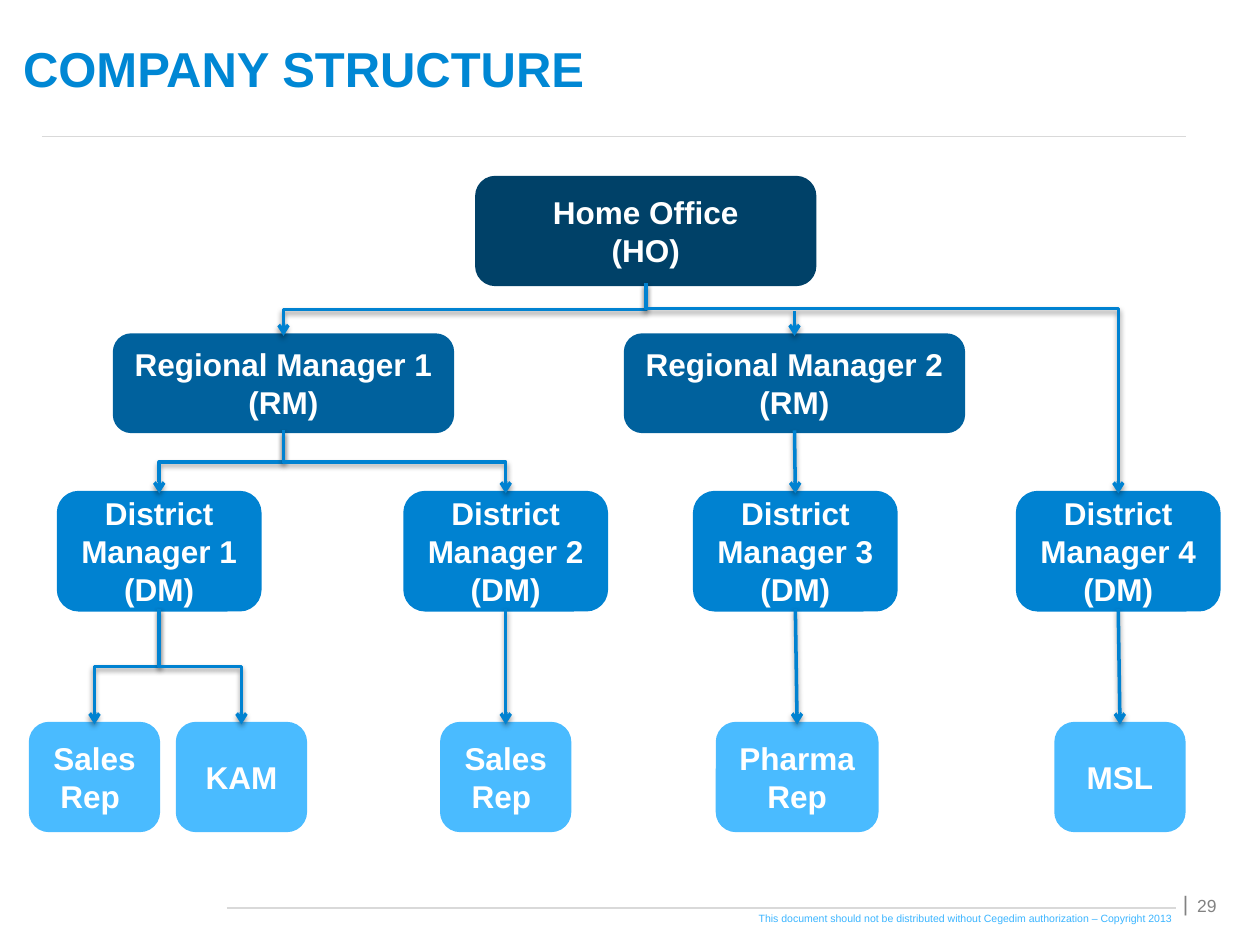
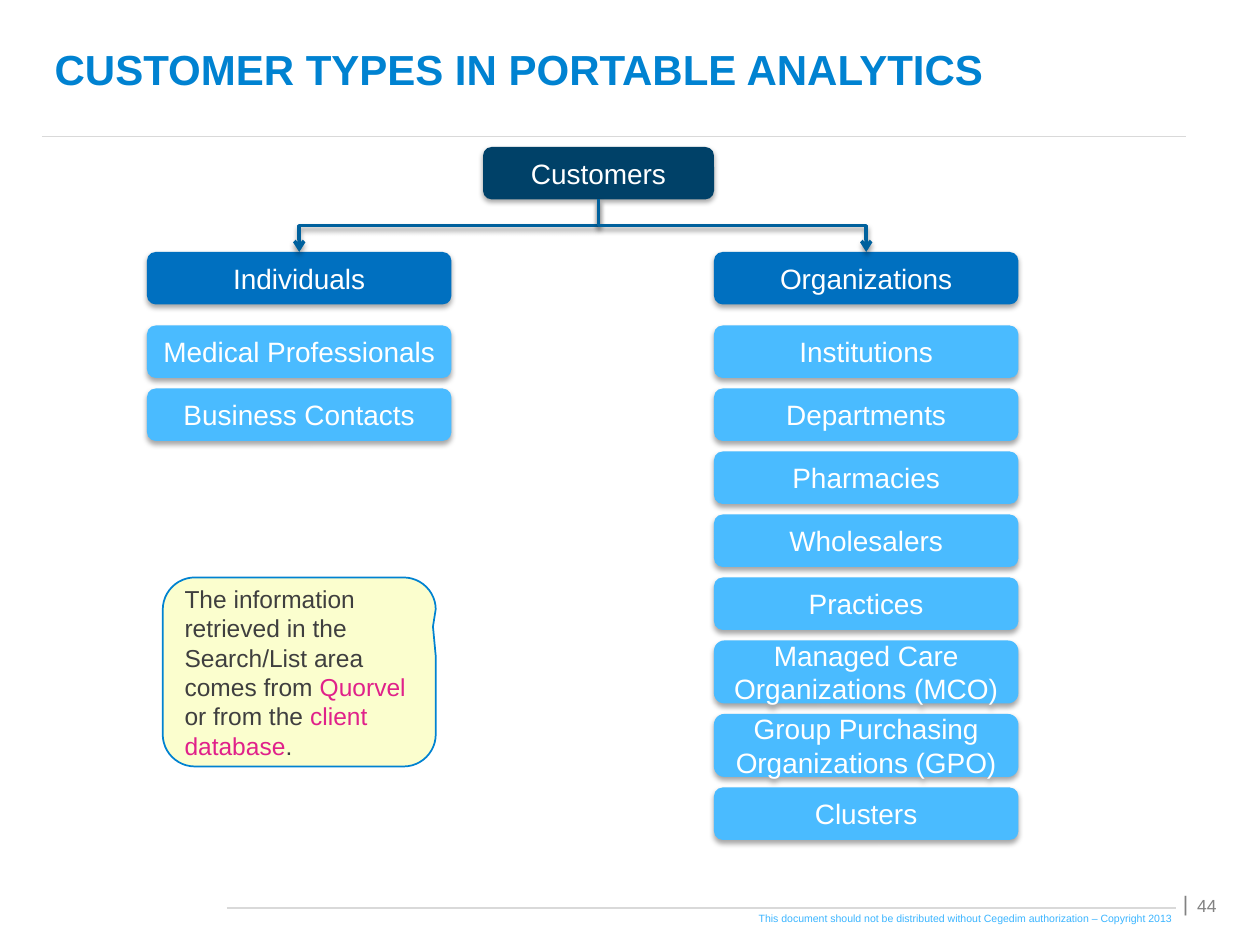
from collections import namedtuple

from lxml.etree import SubElement
from pptx import Presentation
from pptx.dml.color import RGBColor
from pptx.enum.shapes import MSO_CONNECTOR as Link, MSO_SHAPE as Preset
from pptx.enum.text import MSO_ANCHOR as Anchor, PP_ALIGN as Align
from pptx.oxml.ns import qn
from pptx.util import Pt

FONT = "Arial"
WHITE = RGBColor(0xFF, 0xFF, 0xFF)
NAVY = RGBColor(0x00, 0x41, 0x68)
DEEP_BLUE = RGBColor(0x00, 0x61, 0x9D)
HEADING_BLUE = RGBColor(0x00, 0x70, 0xC0)
BLUE = RGBColor(0x00, 0x82, 0xD1)
TITLE_BLUE = RGBColor(0x00, 0x87, 0xD4)
SKY = RGBColor(0x4A, 0xBB, 0xFF)
NOTICE_BLUE = RGBColor(0x3B, 0xB5, 0xFF)
RULE_GREY = RGBColor(0xD9, 0xD9, 0xD9)
NUMBER_GREY = RGBColor(0x82, 0x82, 0x82)
CREAM = RGBColor(0xFB, 0xFE, 0xCE)
TEXT_GREY = RGBColor(0x3F, 0x3F, 0x3F)
PINK = RGBColor(0xE0, 0x21, 0x8A)

TITLE_ONLY = 5
NOTICE = ("This document should not be distributed without Cegedim "
          "authorization – Copyright 2013")

Box = namedtuple("Box", "left top width height")


def in_points(box):
    return [Pt(length) for length in box]


def set_font(font, size, color, bold=False):
    font.name = FONT
    font.size = Pt(size)
    font.bold = bold
    font.color.rgb = color


def add_shadow(effects, opacity, distance):
    """Fill an empty effect list with a soft shadow that falls straight down."""
    shadow = SubElement(effects, qn("a:outerShdw"), blurRad=str(Pt(3.1)),
                        dist=str(Pt(distance)), dir="5400000", rotWithShape="0")
    black = SubElement(shadow, qn("a:srgbClr"), val="000000")
    SubElement(black, qn("a:alpha"), val=str(opacity * 1000))


def add_line(page, start, end, color, width, kind=Link.STRAIGHT):
    """Add a line without shadow; return it with its empty effect list."""
    line = page.shapes.add_connector(kind, *in_points((*start, *end)))
    line.line.color.rgb = color
    line.line.width = Pt(width)
    return line, SubElement(line._element.spPr, qn("a:effectLst"))


def add_arrow(page, start, end, color, bend=0.5):
    """Add a downward arrow, with an elbow where the ends are not in line."""
    (x1, y1), (x2, y2) = start, end
    if abs(x2 - x1) < 2:
        arrow, effects = add_line(page, start, end, color, 2)
    else:
        # An elbow leaves sideways, so it is laid out flat and then turned.
        middle_x, middle_y = (x1 + x2) / 2, (y1 + y2) / 2
        reach = (y2 - y1) / 2 * (1 if x2 > x1 else -1)
        rise = abs(x2 - x1) / 2
        arrow, effects = add_line(page, (middle_x + reach, middle_y - rise),
                                  (middle_x - reach, middle_y + rise), color, 2, Link.ELBOW)
        properties = arrow._element.spPr
        turn = 270 if x2 > x1 else 90
        properties.find(qn("a:xfrm")).set("rot", str(turn * 60000))
        guides = properties.find(qn("a:prstGeom")).find(qn("a:avLst"))
        SubElement(guides, qn("a:gd"), name="adj1", fmla=f"val {round(bend * 100000)}")
    SubElement(arrow._element.spPr.find(qn("a:ln")), qn("a:tailEnd"), type="arrow")
    add_shadow(effects, 38, 1.6)


def connect(page, parent, child, color, bend=0.5):
    """Join the bottom of the parent box to the top of the child box."""
    add_arrow(page, (parent.left + parent.width / 2, parent.top + parent.height),
              (child.left + child.width / 2, child.top), color, bend)


def add_label_box(page, box, text, color, size, bold=False):
    shape = page.shapes.add_shape(Preset.ROUNDED_RECTANGLE, *in_points(box))
    shape.shadow.inherit = False
    shape.fill.solid()
    shape.fill.fore_color.rgb = color
    frame = shape.text_frame
    frame.word_wrap = True
    frame.vertical_anchor = Anchor.MIDDLE
    frame.text = text
    for para in frame.paragraphs:
        para.alignment = Align.CENTER
        set_font(para.font, size, WHITE, bold)
    return shape


def add_org_box(page, box, text, color):
    shape = add_label_box(page, box, text, color, 18, bold=True)
    shape.line.color.rgb = color
    shape.line.width = Pt(3)


def add_type_box(page, box, text, color):
    shape = add_label_box(page, box, text, color, 16)
    shape.line.fill.background()
    add_shadow(shape._element.spPr.find(qn("a:effectLst")), 35, 1.8)


def add_small_text(page, box, text, size, color, wrap=True, inset=0):
    frame = page.shapes.add_textbox(*in_points(box)).text_frame
    frame.word_wrap = wrap
    frame.margin_left = frame.margin_right = Pt(inset)
    frame.margin_top = frame.margin_bottom = Pt(inset / 2)
    frame.vertical_anchor = Anchor.MIDDLE if inset else Anchor.TOP
    frame.text = text
    set_font(frame.paragraphs[0].font, size, color)


def add_page(deck, title_text, title_box, title_size, title_color, number):
    """Add a slide with its title, rules and footer."""
    page = deck.slides.add_slide(deck.slide_layouts[TITLE_ONLY])
    for left, right, y in ((24, 666, 78), (36, 678, 78), (129.6, 672, 519)):
        add_line(page, (left, y), (right, y), RULE_GREY, 1)
    add_small_text(page, Box(677, 503, 42, 29), number, 10, NUMBER_GREY, inset=7.2)
    add_small_text(page, Box(676, 509, 6, 14.4), "|", 12, NUMBER_GREY)
    add_small_text(page, Box(433.5, 521.3, 240, 7.2), NOTICE, 6, NOTICE_BLUE, wrap=False)

    title = page.shapes.title
    title.left, title.top, title.width, title.height = in_points(title_box)
    title.text_frame.text = title_text
    title.text_frame.vertical_anchor = Anchor.MIDDLE
    para = title.text_frame.paragraphs[0]
    para.alignment = Align.LEFT
    set_font(para.font, title_size, title_color, bold=True)
    return page


def add_org_chart(page, area):
    def place(left, top, width, height):
        return Box(area.left + left, area.top + top, width, height)

    office = place(255, 0, 192, 60)
    regions = [place(left, 90, 192, 54) for left in (48, 340)]
    districts = [place(left, 180, 114, 66) for left in (16, 214, 379.5, 564)]
    reps = {
        "Sales Rep ": [place(0, 312, 72, 60), place(235, 312, 72, 60)],
        "KAM": [place(84, 312, 72, 60)],
        "Pharma Rep": [place(392.5, 312, 90, 60)],
        "MSL": [place(586, 312, 72, 60)],
    }

    add_org_box(page, office, "Home Office\n(HO)", NAVY)
    for number, box in enumerate(regions, 1):
        add_org_box(page, box, f"Regional Manager {number} \n(RM)", DEEP_BLUE)
    for number, box in enumerate(districts, 1):
        add_org_box(page, box, f"District Manager {number} \n(DM)", BLUE)
    for role, boxes in reps.items():
        for box in boxes:
            add_org_box(page, box, role, SKY)

    first_rep, second_rep = reps["Sales Rep "]
    links = [
        (office, regions[0]),
        (regions[0], districts[0]), (regions[0], districts[1]),
        (regions[1], districts[2]),
        (districts[0], first_rep), (districts[0], reps["KAM"][0]),
        (districts[1], second_rep),
        (districts[2], reps["Pharma Rep"][0]),
        (districts[3], reps["MSL"][0]),
    ]
    for parent, child in links:
        connect(page, parent, child, BLUE)
    connect(page, office, districts[3], BLUE, bend=0.12)
    branch_x = regions[1].left + regions[1].width / 2
    add_arrow(page, (branch_x, area.top + 76), (branch_x, regions[1].top), BLUE)


def add_type_column(page, box, heading, types):
    """Stack a heading and its types; types on two lines get a taller box."""
    add_type_box(page, box, heading, HEADING_BLUE)
    top = box.top + box.height + 12
    for name in types:
        height = 36 if len(name) > 24 else 30
        add_type_box(page, Box(box.left, top, box.width, height), name, SKY)
        top += height + 6


def add_customer_types(page, area):
    root = Box(area.left + 192, area.top, 132, 30)
    columns = {
        "Individuals": ["Medical Professionals", "Business Contacts"],
        "Organizations": ["Institutions", "Departments", "Pharmacies", "Wholesalers",
                          "Practices", "Managed Care Organizations (MCO)",
                          "Group Purchasing Organizations (GPO)", "Clusters"],
    }
    add_type_box(page, root, "Customers", NAVY)
    for index, (heading, types) in enumerate(columns.items()):
        box = Box(area.left + 324 * index, area.top + 60, 174, 30)
        add_type_column(page, box, heading, types)
        connect(page, root, box, DEEP_BLUE)


def add_source_note(page, box):
    note = page.shapes.add_shape(Preset.ROUNDED_RECTANGULAR_CALLOUT, *in_points(box))
    for index, value in enumerate((0.49, -0.24, 0.17)):
        note.adjustments[index] = value
    note.shadow.inherit = False
    note.fill.solid()
    note.fill.fore_color.rgb = CREAM
    note.line.color.rgb = BLUE
    note.line.width = Pt(1)
    frame = note.text_frame
    frame.word_wrap = True
    frame.vertical_anchor = Anchor.MIDDLE
    para = frame.paragraphs[0]
    para.alignment = Align.LEFT
    set_font(para.font, 14, TEXT_GREY)
    pieces = ("The information retrieved in the Search/List area comes from ",
              "Quorvel", " or from the ", "client database", ".")
    for index, piece in enumerate(pieces):
        span = para.add_run()
        span.text = piece
        span.font.color.rgb = PINK if index % 2 else TEXT_GREY


def main():
    deck = Presentation()
    deck.slide_width, deck.slide_height = Pt(720), Pt(540)

    page = add_page(deck, "COMPANY STRUCTURE", Box(6, 0, 672, 78), 28, TITLE_BLUE, "29")
    add_org_chart(page, Box(18, 102, 678, 372))

    page = add_page(deck, "CUSTOMER TYPES IN PORTABLE ANALYTICS",
                    Box(24, 0, 636, 78), 24, BLUE, "44")
    add_customer_types(page, Box(84, 84, 498, 396))
    add_source_note(page, Box(93, 330, 156, 108))

    deck.save("out.pptx")


if __name__ == "__main__":
    main()
